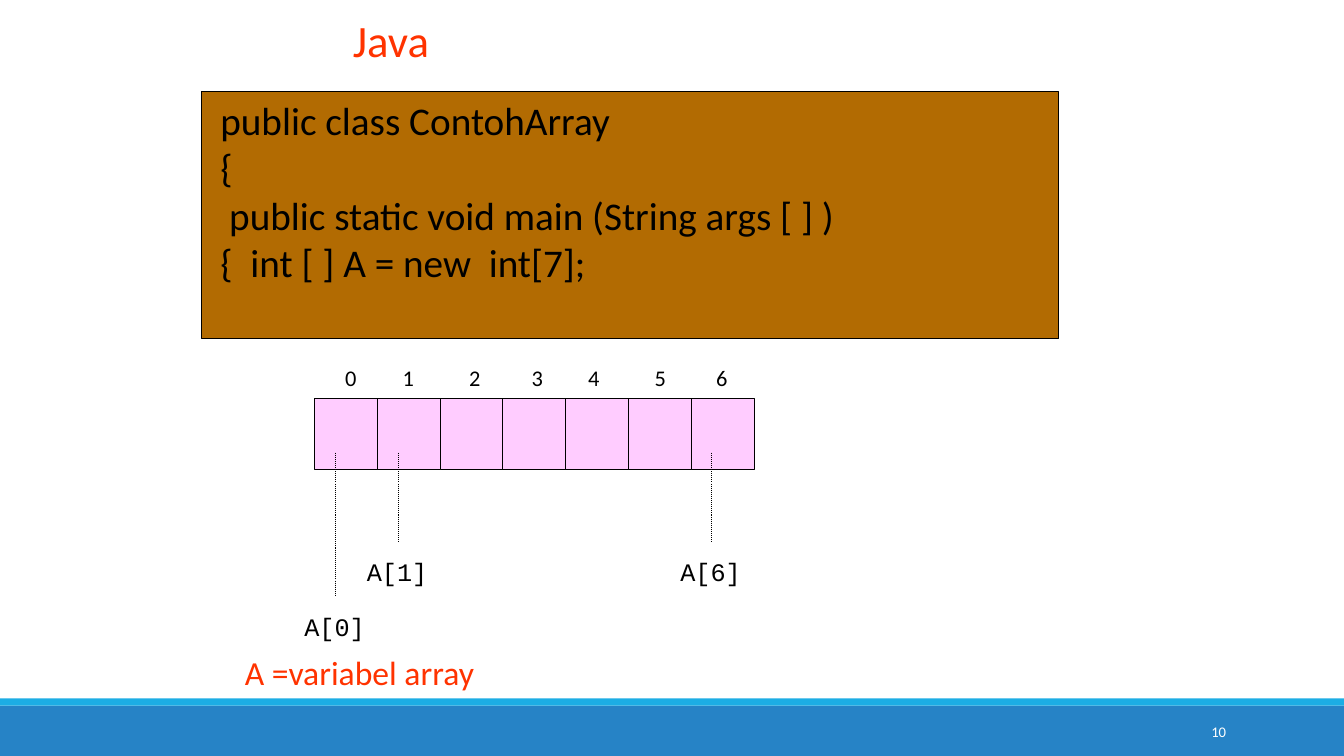
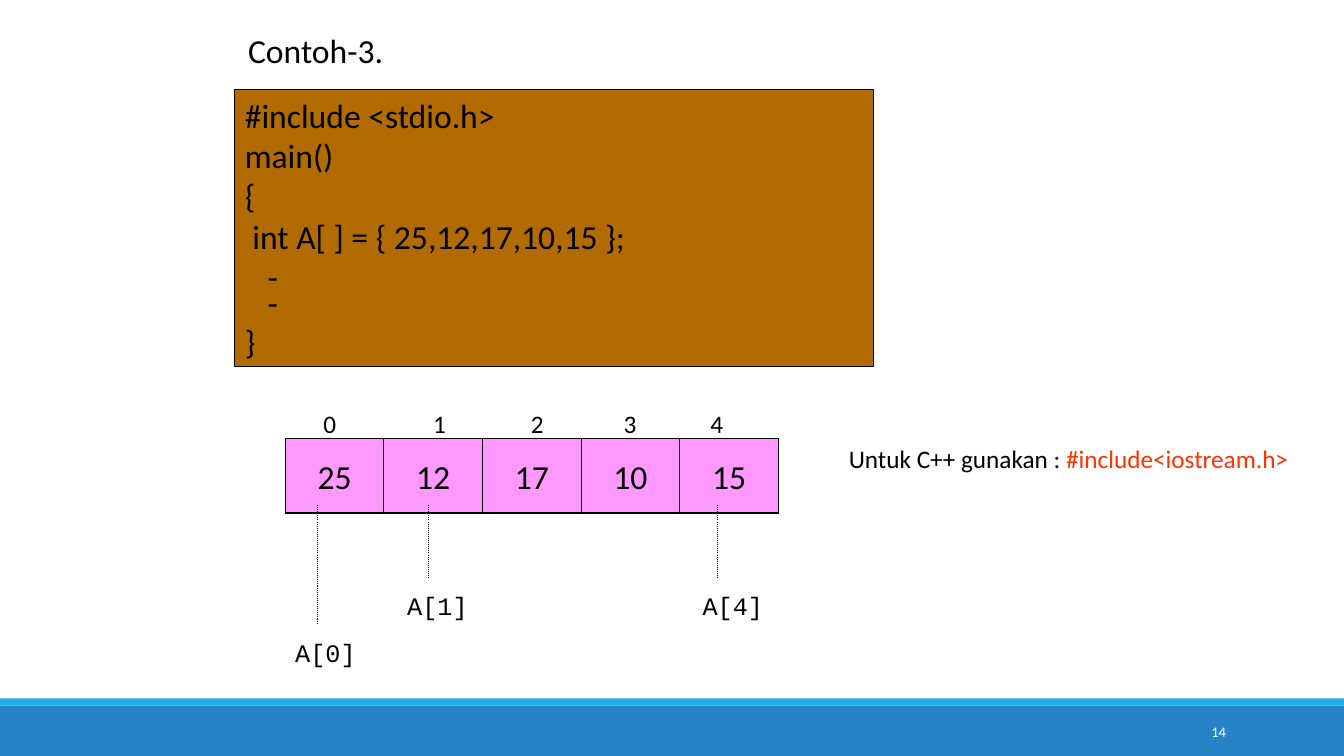
from lxml.etree import SubElement
from pptx import Presentation
from pptx.dml.color import RGBColor
from pptx.enum.dml import MSO_LINE
from pptx.enum.shapes import MSO_CONNECTOR, MSO_SHAPE
from pptx.enum.text import MSO_ANCHOR, MSO_AUTO_SIZE, PP_ALIGN
from pptx.oxml.ns import qn
from pptx.util import Inches, Pt

COLORS = {
    "ink": "000000",
    "accent": "FF3300",
    "page_number": "FFFFFF",
    "footer": "2683C6",
    "stripe": "1CADE4",
    "code": "B26B02",
    "empty_cell": "FFCCFF",
    "filled_cell": "FF99FF",
}
BODY_FONT, CODE_FONT = "Calibri", "Courier New"
SLIDE_W, SLIDE_H = 13.33, 7.5
LINE_WIDTH = 0.75


def rgb(name):
    return RGBColor.from_string(COLORS[name])


def style_run(run, size, color="ink", font=BODY_FONT):
    run.font.name = font
    run.font.size = Pt(size)
    run.font.color.rgb = rgb(color)


def format_text(shape, size, color="ink", font=BODY_FONT, align=PP_ALIGN.LEFT,
                anchor=MSO_ANCHOR.TOP, wrap=False):
    frame = shape.text_frame
    frame.auto_size = MSO_AUTO_SIZE.NONE
    frame.word_wrap = wrap
    frame.vertical_anchor = anchor
    for paragraph in frame.paragraphs:
        paragraph.alignment = align
        for run in paragraph.runs:
            style_run(run, size, color, font)


def add_label(slide, box, text, size, **style):
    label = slide.shapes.add_textbox(*map(Inches, box))
    label.text_frame.text = text
    format_text(label, size, **style)
    return label


def add_box(slide, box, fill, outlined=True):
    rect = slide.shapes.add_shape(MSO_SHAPE.RECTANGLE, *map(Inches, box))
    rect.shadow.inherit = False
    rect.fill.solid()
    rect.fill.fore_color.rgb = rgb(fill)
    if outlined:
        rect.line.color.rgb = rgb("ink")
        rect.line.width = Pt(LINE_WIDTH)
    else:
        rect.line.fill.background()
    return rect


def add_master_bands(prs, slide):
    """Draw the footer bands, then move them to the back of the master."""
    master_tree = prs.slide_master.shapes.element
    bands = [("footer", 7, 0.5), ("stripe", 6.93, 0.07)]
    for position, (fill, top, height) in enumerate(bands, start=2):
        band = add_box(slide, (0, top, SLIDE_W, height), fill, outlined=False)
        master_tree.insert(position, band.element)


def new_slide(prs, title, box, size, color, number):
    slide = prs.slides.add_slide(prs.slide_layouts[5])
    # Title
    heading = slide.shapes.title
    heading.left, heading.top, heading.width, heading.height = map(Inches, box)
    heading.text_frame.text = title
    format_text(heading, size, color)
    # Page number
    add_label(slide, (10.83, 7.06, 1.43, 0.4), number, 10.5, color="page_number",
              align=PP_ALIGN.RIGHT, anchor=MSO_ANCHOR.MIDDLE)
    return slide


def add_code(slide, box, lines, size):
    code = add_box(slide, box, "code")
    code.text_frame.text = "\n".join(lines)
    format_text(code, size, wrap=True)
    return code


def add_pointer(slide, x, top, bottom):
    pointer = slide.shapes.add_connector(
        MSO_CONNECTOR.STRAIGHT, *map(Inches, (x, top, x, bottom)))
    pointer.line.color.rgb = rgb("ink")
    pointer.line.width = Pt(LINE_WIDTH)
    pointer.line.dash_style = MSO_LINE.ROUND_DOT
    SubElement(pointer.element.spPr, qn("a:effectLst"))


def add_array(slide, box, values, fill, index_size, index_top, index_centres,
              pointer_top, pointers):
    """Index centres, pointers and their tops are offsets from the box corner."""
    left, top, width, height = box
    cell_width = width / len(values)
    for index, (value, centre) in enumerate(zip(values, index_centres)):
        # Cell and its index
        cell = add_box(slide, (left + index * cell_width, top, cell_width, height), fill)
        if value:
            cell.text_frame.text = value
            format_text(cell, 24, align=PP_ALIGN.CENTER, anchor=MSO_ANCHOR.MIDDLE)
        add_label(slide, (left + centre - 0.25, top + index_top, 0.5, 0.4),
                  str(index), index_size, align=PP_ALIGN.CENTER)
    for index, x, bottom, label_x, label_top in pointers:
        # Dotted pointer and the element it names
        add_pointer(slide, left + x, top + pointer_top, top + bottom)
        add_label(slide, (left + label_x, top + label_top, 0.8, 0.4),
                  f"A[{index}]", 18, font=CODE_FONT)


def build_java_slide(prs):
    slide = new_slide(prs, "Java", (3.4, 0.08, 0.97, 0.64), 32, "accent", "10")
    add_code(slide, (2, 0.91, 8.5, 2.45), [
        " public class ContohArray",
        " {",
        "  public static void main (String args [ ] )",
        " {  int [ ] A = new  int[7];",
    ], 28)
    add_array(slide, (3.12, 3.95, 4.36, 0.71), [""] * 7, "empty_cell",
              index_size=16, index_top=-0.39,
              index_centres=[0.36, 0.93, 1.59, 2.21, 2.77, 3.43, 4.04],
              pointer_top=0.54,
              pointers=[(0, 0.21, 1.96, -0.2, 2.07),
                        (1, 0.83, 1.43, 0.42, 1.52),
                        (6, 3.94, 1.43, 3.53, 1.52)])
    add_label(slide, (2.33, 6.42, 2.5, 0.5), "A =variabel array", 24, color="accent")
    return slide


def build_initial_values_slide(prs):
    slide = new_slide(prs, "Contoh-3.", (2.36, 0.25, 1.55, 0.5), 24, "ink", "14")
    code = add_code(slide, (2.33, 0.89, 6.33, 2.75), [
        "#include <stdio.h>",
        "main()",
        "{",
        " int A[ ] = { 25,12,17,10,15 };",
        "   -",
        "   -",
        "}",
    ], 24)
    code.text_frame.paragraphs[5].line_spacing = 0.6
    add_array(slide, (2.83, 4.35, 4.89, 0.74), ["25", "12", "17", "10", "15"],
              "filled_cell", index_size=18, index_top=-0.35,
              index_centres=[0.44, 1.53, 2.5, 3.42, 4.28],
              pointer_top=0.66,
              pointers=[(0, 0.32, 1.83, 0, 1.92),
                        (1, 1.42, 1.39, 1.11, 1.46),
                        (4, 4.29, 1.39, 4.04, 1.46)])
    # Header to use in C++
    note = add_label(slide, (8.32, 4.35, 4.61, 0.4), "Untuk C++ gunakan : ", 18)
    header = note.text_frame.paragraphs[0].add_run()
    header.text = "#include<iostream.h>"
    style_run(header, 18, "accent")


def main():
    prs = Presentation()
    prs.slide_width, prs.slide_height = Inches(SLIDE_W), Inches(SLIDE_H)
    java_slide = build_java_slide(prs)
    add_master_bands(prs, java_slide)
    build_initial_values_slide(prs)
    prs.save("out.pptx")


if __name__ == "__main__":
    main()
